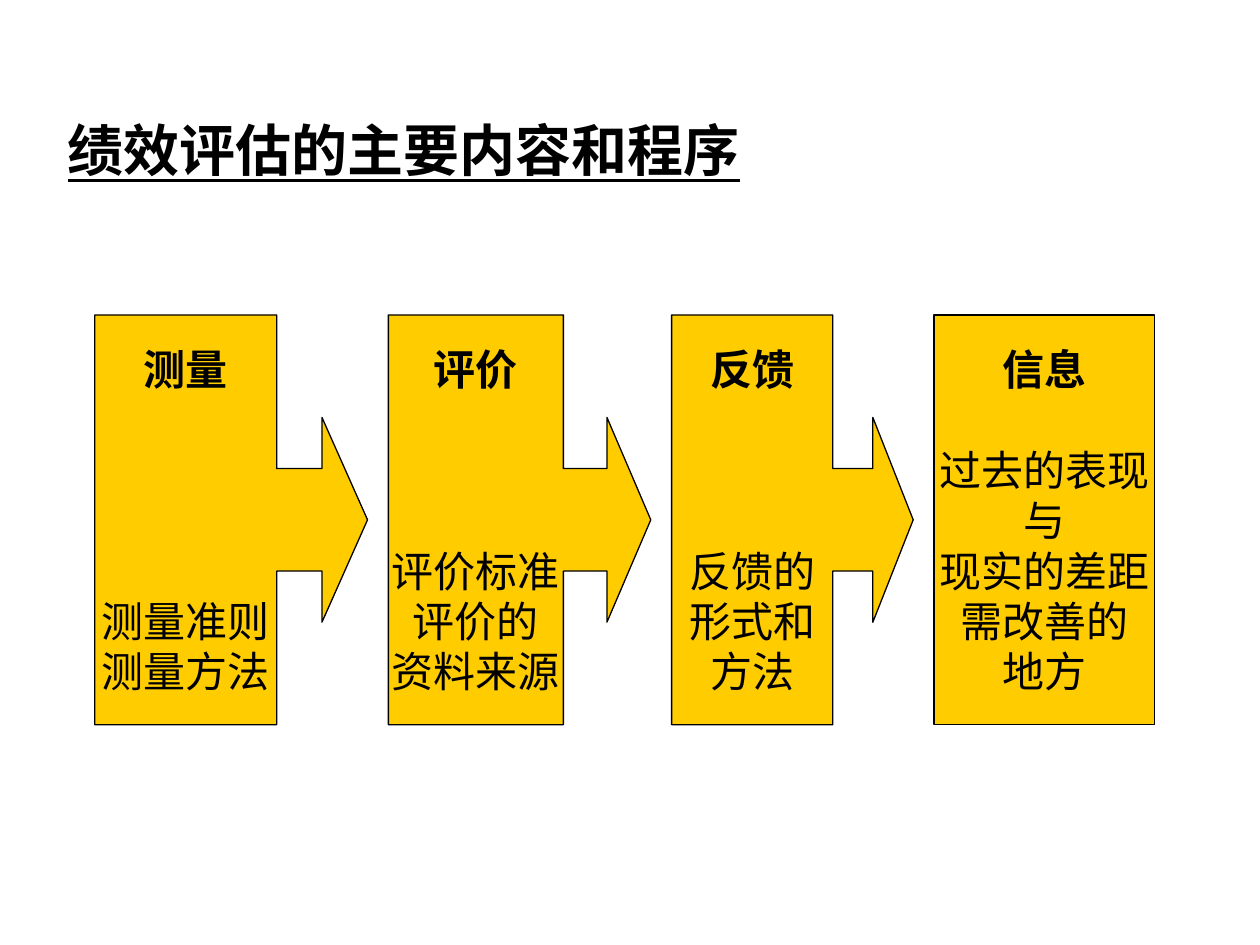
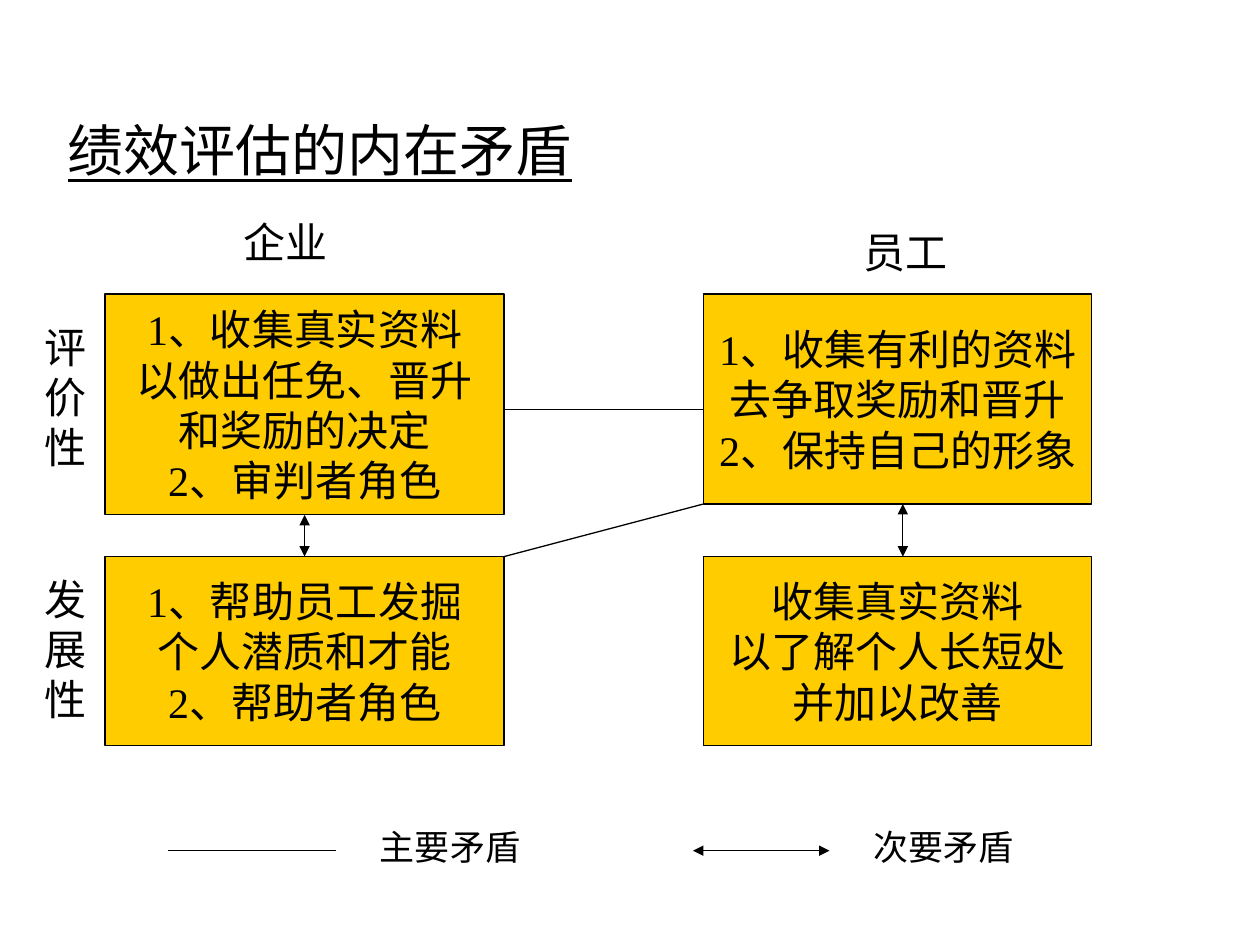
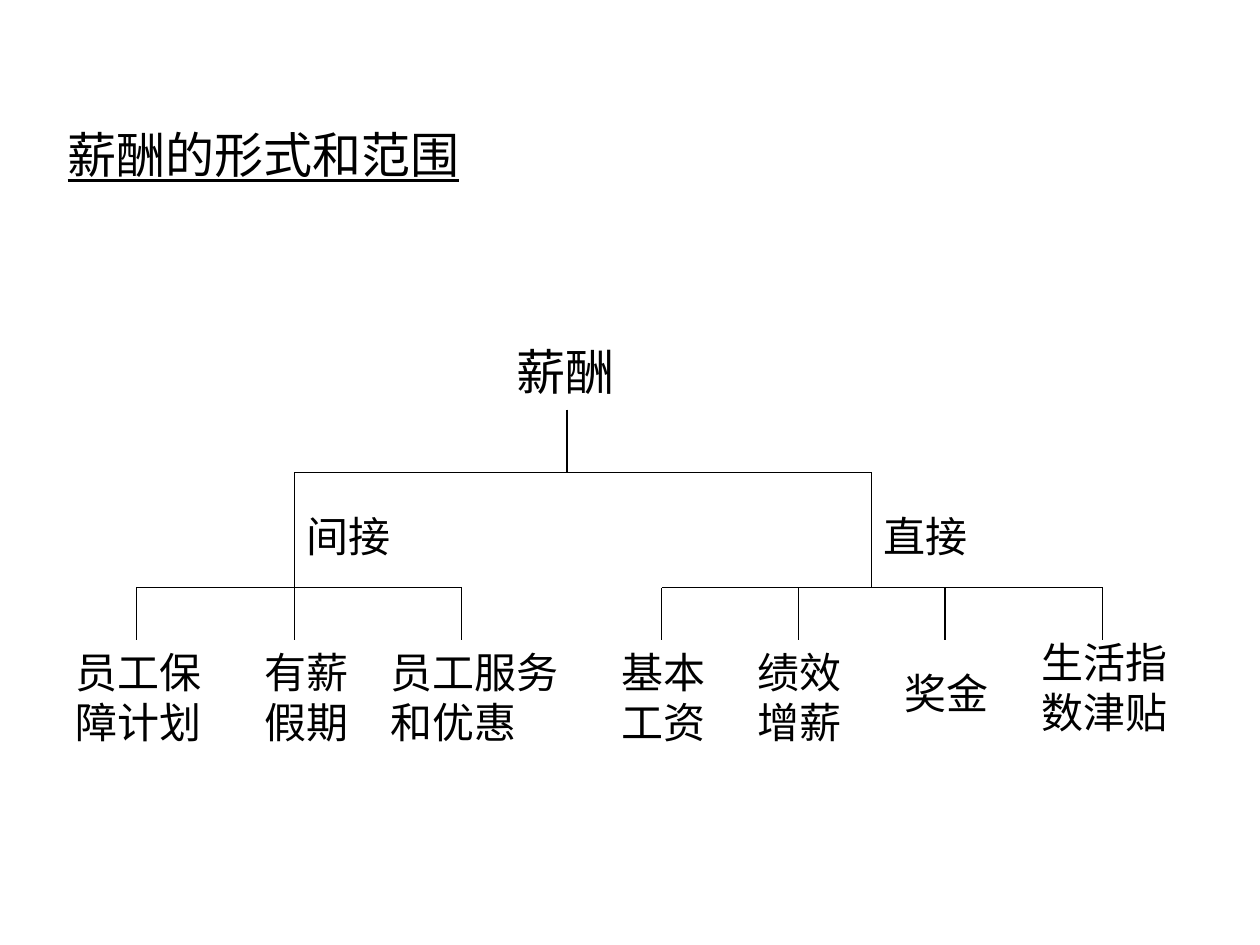
from math import ceil

from lxml import etree
from pptx import Presentation
from pptx.dml.color import RGBColor
from pptx.enum.shapes import MSO_CONNECTOR, MSO_SHAPE
from pptx.enum.text import MSO_ANCHOR, MSO_AUTO_SIZE, PP_ALIGN
from pptx.oxml.ns import qn
from pptx.util import Cm, Pt

RECTANGLE = MSO_SHAPE.RECTANGLE
ARROW_CALLOUT = MSO_SHAPE.RIGHT_ARROW_CALLOUT
STRAIGHT = MSO_CONNECTOR.STRAIGHT
CENTER, LEFT = PP_ALIGN.CENTER, PP_ALIGN.LEFT
MIDDLE, BOTTOM = MSO_ANCHOR.MIDDLE, MSO_ANCHOR.BOTTOM
FIT_SHAPE, NO_FIT = MSO_AUTO_SIZE.SHAPE_TO_FIT_TEXT, MSO_AUTO_SIZE.NONE

BLACK, GOLD = "000000", "FFCC00"
FONT, TITLE_FONT = "Times New Roman", "Montserrat"
LINE_WIDTH = Pt(0.75)
BODY_SIZE = 24
BODY_PITCH = 28.8  # points from one body line to the next

# Process slide: heading, free lines below it, details, width in cm
STEPS = [
    ("测量", 4, ["测量准则", "测量方法"], 5.5),
    ("评价", 3, ["评价标准", "评价的", "资料来源"], 5.29),
    ("反馈", 3, ["反馈的", "形式和", "方法"], 4.87),
    ("信息", 1, ["过去的表现", "与", "现实的差距", "需改善的", "地方"], 4.45),
]
STEP_LEFT, STEP_TOP, STEP_HEIGHT, STEP_GAP = 1.91, 6.35, 8.26, 0.42

# Conflict slide: columns as left, width, arrow x, upper height, upper and lower text
UPPER_TOP, LOWER_TOP, LOWER_HEIGHT = 5.93, 11.22, 3.81
COMPANY = (2.12, 8.04, 6.14, 4.45,
           ["1、收集真实资料", "以做出任免、晋升", "和奖励的决定", "2、审判者角色"],
           ["1、帮助员工发掘", "个人潜质和才能", "2、帮助者角色"])
STAFF = (14.18, 7.83, 18.2, 4.23,
         ["1、收集有利的资料", "去争取奖励和晋升", "2、保持自己的形象"],
         ["收集真实资料", "以了解个人长短处", "并加以改善"])
# Labels as text, left, top, width, size
CONFLICT_LABELS = [
    ("企业", 4.66, 4.23, 5.08, BODY_SIZE),
    ("员工", 17.15, 4.45, 3.6, BODY_SIZE),
    ("评价性", 0.64, 6.35, 1.48, BODY_SIZE),
    ("发展性", 0.64, 11.43, 1.91, BODY_SIZE),
    ("主要矛盾", 7.41, 16.51, 4.45, 20),
    ("次要矛盾", 17.36, 16.51, 4.23, 20),
]
LEGEND_Y = 17.15

# Pay slide: branches as name, stem x, label width, leaves;
# leaves as text, left, top, width, line x
ROOT = ("薪酬", 10.16, 6.77, 4.65, 28)
ROOT_X = 11.43
BRANCHES = [
    ("间接", 5.93, 3.6, [
        ("员工保障计划", 1.27, 12.91, 3.18, 2.75),
        ("有薪假期", 5.08, 12.91, 2.96, 5.93),
        ("员工服务和优惠", 7.62, 12.91, 4.23, 9.31),
    ]),
    ("直接", 17.57, 3.39, [
        ("基本工资", 12.28, 12.91, 2.75, 13.34),
        ("绩效增薪", 15.03, 12.91, 2.75, 16.09),
        ("奖金", 17.99, 13.34, 2.54, 19.05),
        ("生活指数津贴", 20.74, 12.7, 3.39, 22.23),
    ]),
]
ROOT_BOTTOM, BRANCH_Y, BRANCH_LABEL_TOP, LEAF_Y, LEAF_BOTTOM = 8.26, 9.53, 10.16, 11.85, 12.91


def color(value):
    return RGBColor.from_string(value)


def style_runs(paragraph, size, font=FONT, bold=False, underline=False):
    for run in paragraph.runs:
        run.font.name = font
        run.font.size = Pt(size)
        run.font.bold = bold
        run.font.underline = underline
        run.font.color.rgb = color(BLACK)


def add_titled_slide(presentation, text, size=32, font=FONT, bold=False):
    slide = presentation.slides.add_slide(presentation.slide_layouts[5])
    title = slide.shapes.title
    title.left, title.top, title.width, title.height = Cm(1.11), Cm(0.64), Cm(21.59), Cm(3.18)
    frame = title.text_frame
    frame.text = text
    frame.vertical_anchor = BOTTOM
    frame.auto_size = NO_FIT
    frame.paragraphs[0].alignment = LEFT
    style_runs(frame.paragraphs[0], size, font, bold, underline=True)
    return slide


def add_box(slide, kind, left, top, width, height, lines):
    box = slide.shapes.add_shape(kind, Cm(left), Cm(top), Cm(width), Cm(height))
    box.shadow.inherit = False
    box.fill.solid()
    box.fill.fore_color.rgb = color(GOLD)
    box.line.color.rgb = color(BLACK)
    box.line.width = LINE_WIDTH
    frame = box.text_frame
    frame.text = "\n".join(lines)
    frame.word_wrap = False
    frame.vertical_anchor = MIDDLE
    for paragraph in frame.paragraphs:
        paragraph.alignment = CENTER
        style_runs(paragraph, BODY_SIZE)
    return box


def add_label(slide, text, left, top, width, size=BODY_SIZE):
    """Add a text box as high as its wrapped lines need."""
    character = size * 2.54 / 72
    line_count = ceil(len(text) / ((width - 0.5) // character))
    height = line_count * character * 1.2 + 0.25
    label = slide.shapes.add_textbox(Cm(left), Cm(top), Cm(width), Cm(height))
    frame = label.text_frame
    frame.word_wrap = True
    frame.auto_size = FIT_SHAPE
    frame.text = text
    style_runs(frame.paragraphs[0], size)


def add_line(slide, x1, y1, x2, y2, arrows=False):
    connector = slide.shapes.add_connector(STRAIGHT, Cm(x1), Cm(y1), Cm(x2), Cm(y2))
    connector.line.color.rgb = color(BLACK)
    connector.line.width = LINE_WIDTH
    properties = connector._element.spPr
    if arrows:
        outline = properties.find(qn("a:ln"))
        for end in ("a:headEnd", "a:tailEnd"):
            etree.SubElement(outline, qn(end), type="triangle")
    etree.SubElement(properties, qn("a:effectLst"))


def build_process(presentation):
    slide = add_titled_slide(presentation, "绩效评估的主要内容和程序", bold=True)
    left = STEP_LEFT
    for index, (heading, free_lines, details, width) in enumerate(STEPS):
        is_last = index == len(STEPS) - 1
        kind = RECTANGLE if is_last else ARROW_CALLOUT
        box = add_box(slide, kind, left, STEP_TOP, width, STEP_HEIGHT, [heading] + details)
        if not is_last:
            arrow = STEP_HEIGHT / 4 / width
            for position, value in enumerate((arrow, arrow, 0.167, 0.667)):
                box.adjustments[position] = value
        paragraphs = box.text_frame.paragraphs
        style_runs(paragraphs[0], BODY_SIZE, bold=True)
        paragraphs[1].space_before = Pt(free_lines * BODY_PITCH)
        left += width + STEP_GAP


def build_conflicts(presentation):
    slide = add_titled_slide(presentation, "绩效评估的内在矛盾")
    for left, width, arrow_x, upper_height, upper, lower in (COMPANY, STAFF):
        add_box(slide, RECTANGLE, left, UPPER_TOP, width, upper_height, upper)
        add_box(slide, RECTANGLE, left, LOWER_TOP, width, LOWER_HEIGHT, lower)
        add_line(slide, arrow_x, UPPER_TOP + upper_height, arrow_x, LOWER_TOP, arrows=True)
    for label in CONFLICT_LABELS:
        add_label(slide, *label)
    company_right = COMPANY[0] + COMPANY[1]
    staff_left, staff_bottom = STAFF[0], UPPER_TOP + STAFF[3]
    add_line(slide, company_right, 8.26, staff_left, 8.26)
    add_line(slide, staff_left, staff_bottom, company_right, LOWER_TOP)
    add_line(slide, 3.39, LEGEND_Y, 6.77, LEGEND_Y)
    add_line(slide, 13.97, LEGEND_Y, 16.72, LEGEND_Y, arrows=True)


def build_pay_tree(presentation):
    slide = add_titled_slide(presentation, "薪酬的形式和范围", 28, TITLE_FONT)
    add_label(slide, *ROOT)
    add_line(slide, ROOT_X, ROOT_BOTTOM, ROOT_X, BRANCH_Y)
    add_line(slide, BRANCHES[0][1], BRANCH_Y, BRANCHES[-1][1], BRANCH_Y)
    for name, stem_x, label_width, leaves in BRANCHES:
        add_label(slide, name, stem_x, BRANCH_LABEL_TOP, label_width)
        add_line(slide, stem_x, BRANCH_Y, stem_x, LEAF_Y)
        add_line(slide, leaves[0][-1], LEAF_Y, leaves[-1][-1], LEAF_Y)
        for text, left, top, width, line_x in leaves:
            add_line(slide, line_x, LEAF_Y, line_x, LEAF_BOTTOM)
            add_label(slide, text, left, top, width)


def main():
    presentation = Presentation()
    presentation.slide_width, presentation.slide_height = Cm(25.4), Cm(19.05)
    build_process(presentation)
    build_conflicts(presentation)
    build_pay_tree(presentation)
    presentation.save("out.pptx")


if __name__ == "__main__":
    main()
